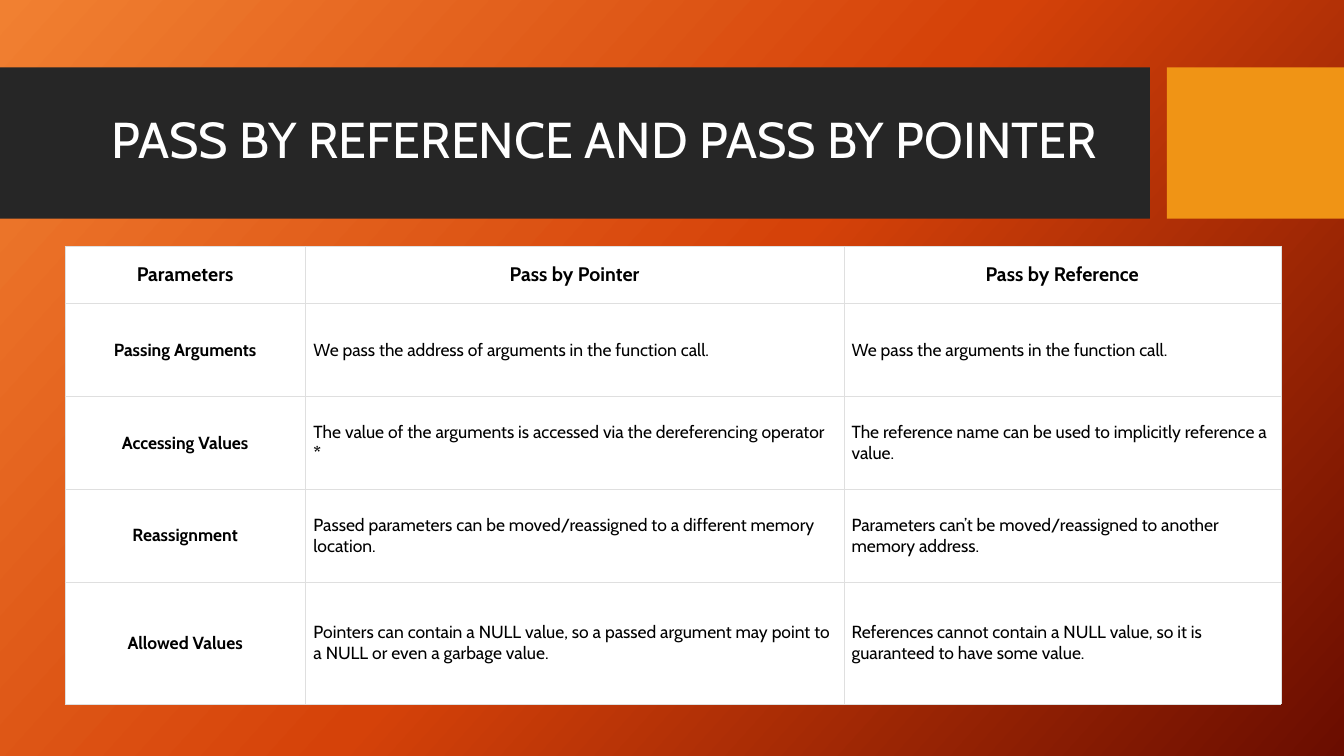
from copy import deepcopy

from lxml.etree import SubElement
from pptx import Presentation
from pptx.dml.color import RGBColor
from pptx.enum.shapes import MSO_SHAPE as Preset
from pptx.enum.text import MSO_ANCHOR as Anchor, MSO_AUTO_SIZE as AutoSize, PP_ALIGN as Align
from pptx.oxml.ns import qn
from pptx.util import Cm, Pt

COLORS = {
    "band": "262626", "accent": "F09415", "white": "FFFFFF", "text": "000000",
    "border": "DFDFDF", "light": "F18031", "middle": "D54209", "dark": "6A0D00",
}
COLUMN_WIDTHS = [6.07, 13.56, 11.02]
ROW_HEIGHTS = [1.45, 2.34, 2.34, 2.34, 3.07]
ROWS = [
    ("Parameters", "Pass by Pointer", "Pass by Reference"),
    ("Passing Arguments",
     "We pass the address of arguments in the function call.",
     "We pass the arguments in the function call."),
    ("Accessing Values",
     "The value of the arguments is accessed via the dereferencing operator *",
     "The reference name can be used to implicitly reference a value."),
    ("Reassignment",
     "Passed parameters can be moved/reassigned to a different memory location.",
     "Parameters can’t be moved/reassigned to another memory address."),
    ("Allowed Values",
     "Pointers can contain a NULL value, so a passed argument may point to a NULL "
     "or even a garbage value.",
     "References cannot contain a NULL value, so it is guaranteed to have some value."),
]


def rgb(name):
    return RGBColor.from_string(COLORS[name])


class SlideBuilder:
    font = "Cabin"

    def __init__(self, presentation):
        self.slide = presentation.slides.add_slide(presentation.slide_layouts[5])

    def style_run(self, run, size, color, bold=False):
        run.font.name, run.font.size, run.font.bold = self.font, Pt(size), bold
        run.font.color.rgb = rgb(color)

    def background(self, names, angle):
        fill = self.slide.background.fill
        fill.gradient()
        fill.gradient_angle = 360 - angle
        stop_list = self.slide.element.find(".//" + qn("a:gsLst"))
        stop_list.append(deepcopy(stop_list[-1]))
        for index, (stop, name) in enumerate(zip(fill.gradient_stops, names)):
            stop.position = index / (len(names) - 1)
            stop.color.rgb = rgb(name)

    def rectangle(self, left, top, width, height, color):
        shape = self.slide.shapes.add_shape(
            Preset.RECTANGLE, Cm(left), Cm(top), Cm(width), Cm(height))
        shape.shadow.inherit = False
        shape.fill.solid()
        shape.fill.fore_color.rgb = rgb(color)
        shape.line.fill.background()

    def title(self, text, left, top, width, height):
        shape = self.slide.shapes.title
        shape.left, shape.top, shape.width, shape.height = map(Cm, (left, top, width, height))
        frame = shape.text_frame
        frame.text = text
        frame.word_wrap, frame.auto_size = True, AutoSize.NONE
        frame.vertical_anchor = Anchor.MIDDLE
        paragraph = frame.paragraphs[0]
        paragraph.alignment, paragraph.line_spacing = Align.CENTER, 0.9
        self.style_run(paragraph.runs[0], 36, "white")
        # Bring the title in front of the band
        shape.element.getparent().append(shape.element)

    def borders(self, cell):
        properties = cell._tc.get_or_add_tcPr()
        for index, side in enumerate(("lnL", "lnR", "lnT", "lnB")):
            line = SubElement(properties, qn(f"a:{side}"), w=str(Pt(0.18)))
            properties.insert(index, line)
            fill = SubElement(line, qn("a:solidFill"))
            SubElement(fill, qn("a:srgbClr"), val=COLORS["border"])

    def cell(self, cell, text, is_header, is_label):
        cell.fill.solid()
        cell.fill.fore_color.rgb = rgb("white")
        self.borders(cell)
        cell.vertical_anchor = Anchor.MIDDLE
        cell.margin_left = cell.margin_right = Cm(0.1 if is_header and is_label else 0.2)
        cell.margin_top = cell.margin_bottom = Cm(0.2 if is_header else 0.3)
        # The operator sign is a bold run of its own
        words, operator, _ = text.partition("*")
        cell.text_frame.text = words
        paragraph = cell.text_frame.paragraphs[0]
        strong = is_header or is_label
        paragraph.alignment = Align.CENTER if strong else Align.LEFT
        size = 14 if is_header else 12.5
        self.style_run(paragraph.runs[0], size, "text", strong)
        if operator:
            run = paragraph.add_run()
            run.text = operator
            self.style_run(run, size, "text", True)

    def table(self, rows, left, top, widths, heights):
        table = self.slide.shapes.add_table(
            len(rows), len(widths), Cm(left), Cm(top),
            Cm(sum(widths)), Cm(sum(heights))).table
        table.horz_banding = False
        for column, width in zip(table.columns, widths):
            column.width = Cm(width)
        for row, height in zip(table.rows, heights):
            row.height = Cm(height)
        for row_index, texts in enumerate(rows):
            for column_index, text in enumerate(texts):
                self.cell(table.cell(row_index, column_index), text,
                          row_index == 0, column_index == 0)


def main():
    presentation = Presentation()
    presentation.slide_width, presentation.slide_height = Cm(33.87), Cm(19.05)
    builder = SlideBuilder(presentation)
    builder.background(["light", "middle", "dark"], 42)

    # Title band and accent block
    builder.rectangle(0, 1.7, 28.98, 3.81, "band")
    builder.rectangle(29.41, 1.7, 4.46, 3.81, "accent")
    builder.title("PASS BY REFERENCE AND PASS BY POINTER", 1.88, 2.08, 26.7, 3)

    # Comparison table
    builder.table(ROWS, 1.63, 6.2, COLUMN_WIDTHS, ROW_HEIGHTS)
    presentation.save("out.pptx")


if __name__ == "__main__":
    main()
